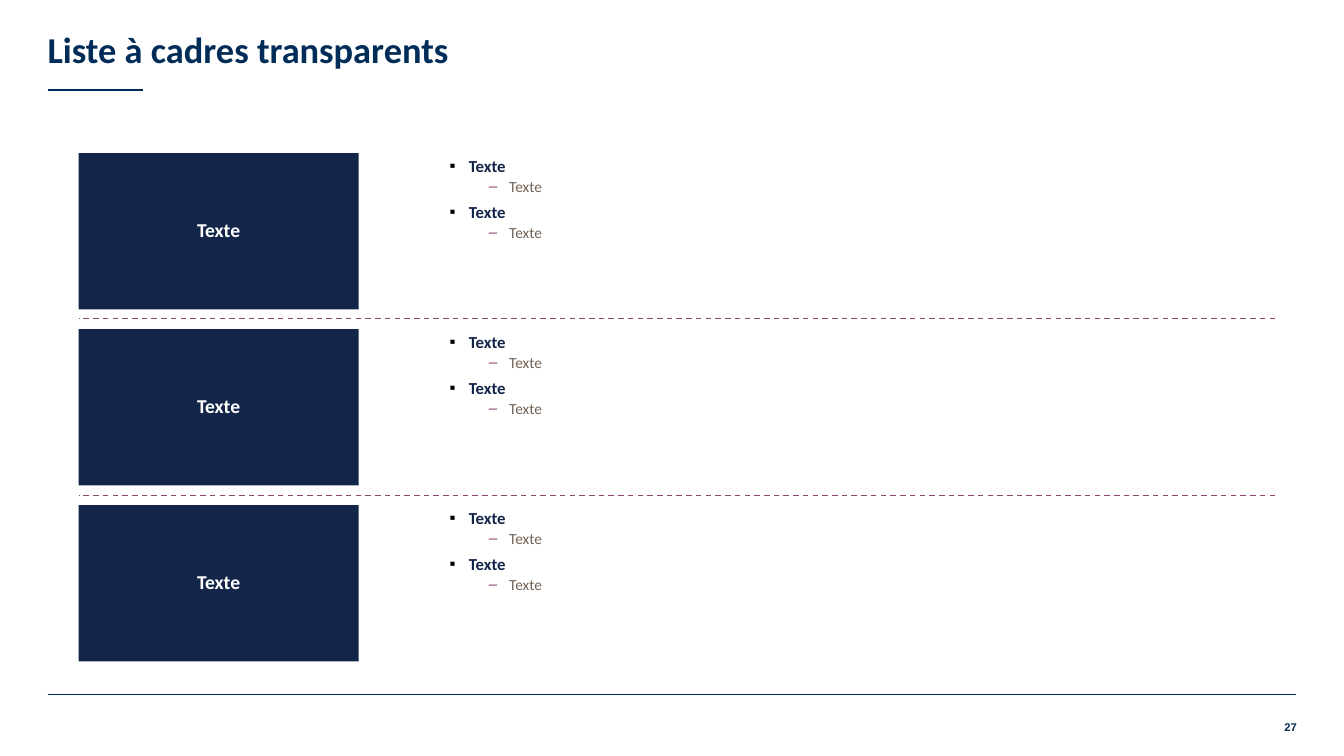
from pptx import Presentation
from pptx.dml.color import RGBColor
from pptx.enum.dml import MSO_LINE
from pptx.enum.shapes import MSO_CONNECTOR, MSO_SHAPE
from pptx.enum.text import MSO_ANCHOR, MSO_AUTO_SIZE, PP_ALIGN
from pptx.oxml.ns import qn
from pptx.util import Pt
from lxml import etree

RECTANGLE = MSO_SHAPE.RECTANGLE
STRAIGHT = MSO_CONNECTOR.STRAIGHT
DASH = MSO_LINE.DASH
TOP, MIDDLE, BOTTOM = MSO_ANCHOR.TOP, MSO_ANCHOR.MIDDLE, MSO_ANCHOR.BOTTOM
LEFT, CENTER, RIGHT = PP_ALIGN.LEFT, PP_ALIGN.CENTER, PP_ALIGN.RIGHT
NO_AUTOFIT = MSO_AUTO_SIZE.NONE

COLORS = {
    "title": "002C58",
    "navy": "13264A",
    "plum": "8B4771",
    "taupe": "746457",
    "black": "000000",
    "white": "FFFFFF",
}

# Page frame and list grid, in points
MARGIN_LEFT, MARGIN_RIGHT = 34, 926
LIST_LEFT, LIST_RIGHT = 56.2, 910.8
ROW_TOP, ROW_HEIGHT, ROW_PITCH = 109.4, 111.6, 125.7
DIVIDER_TOP, DIVIDER_PITCH = 227.4, 126.7
LABEL_WIDTH = 200
BULLETS_LEFT = 315.4

LEVELS = [
    {"size": 12, "color": "navy", "bold": True, "space_before": 6,
     "indent": (13.7, -13.7), "bullet": ("▪", "black")},
    {"size": 11, "color": "taupe", "space_before": 2,
     "indent": (42.5, -14.4), "bullet": ("–", "plum")},
]

ROWS = [("Texte", [("Texte", 0), ("Texte", 1)] * 2)] * 3


def rgb(name):
    return RGBColor.from_string(COLORS[name])


def set_frame(frame, insets, anchor=TOP):
    frame.word_wrap = True
    frame.auto_size = NO_AUTOFIT
    frame.vertical_anchor = anchor
    (frame.margin_left, frame.margin_top,
     frame.margin_right, frame.margin_bottom) = [Pt(inset) for inset in insets]


def add_bullet(para, char, color, left, hanging):
    properties = para._p.get_or_add_pPr()
    properties.set("marL", str(Pt(left)))
    properties.set("indent", str(Pt(hanging)))
    bullet_color = etree.SubElement(properties, qn("a:buClr"))
    etree.SubElement(bullet_color, qn("a:srgbClr"), val=COLORS[color])
    etree.SubElement(properties, qn("a:buFont"), typeface="Arial")
    etree.SubElement(properties, qn("a:buChar"), char=char)


def write(para, text, size, color, bold=False, font="Calibri", align=LEFT,
          line_spacing=0.9, space_before=0, indent=None, bullet=None):
    if bullet:
        add_bullet(para, *bullet, *indent)
    para.alignment = align
    para.line_spacing = line_spacing
    para.space_before = Pt(space_before)
    span = para.add_run()
    span.text = text
    span.font.name = font
    span.font.size = Pt(size)
    span.font.bold = bold
    span.font.color.rgb = rgb(color)


def add_rule(page, left, right, top, color, width, dash=None):
    rule = page.shapes.add_connector(STRAIGHT, Pt(left), Pt(top), Pt(right), Pt(top))
    rule.line.color.rgb = rgb(color)
    rule.line.width = Pt(width)
    if dash:
        rule.line.dash_style = dash
    etree.SubElement(rule._element.spPr, qn("a:effectLst"))


def add_title(page, text):
    title = page.shapes.title
    title.left, title.top, title.width, title.height = Pt(MARGIN_LEFT), Pt(0), Pt(892), Pt(52.6)
    set_frame(title.text_frame, (0, 3.6, 1.4, 1.4), BOTTOM)
    write(title.text_frame.paragraphs[0], text, size=26, color="title", bold=True)


def add_label(page, top, text):
    label = page.shapes.add_shape(RECTANGLE, Pt(LIST_LEFT), Pt(top),
                                  Pt(LABEL_WIDTH), Pt(ROW_HEIGHT))
    label.shadow.inherit = False
    label.fill.solid()
    label.fill.fore_color.rgb = rgb("navy")
    label.line.fill.background()
    set_frame(label.text_frame, (7.2, 5.8, 7.2, 5.8), MIDDLE)
    write(label.text_frame.paragraphs[0], text, size=14, color="white",
          bold=True, align=CENTER)


def add_bullets(page, top, items):
    box = page.shapes.add_textbox(Pt(BULLETS_LEFT), Pt(top),
                                  Pt(LIST_RIGHT - BULLETS_LEFT), Pt(ROW_HEIGHT))
    frame = box.text_frame
    set_frame(frame, (5.8, 3.6, 2.9, 3.6))
    for index, (text, level) in enumerate(items):
        para = frame.add_paragraph() if index else frame.paragraphs[0]
        para.level = level
        style = dict(LEVELS[level])
        if index == 0:
            style["space_before"] = 0
        write(para, text, **style)


def add_page_number(page, text):
    box = page.shapes.add_textbox(Pt(898.4), Pt(514.8), Pt(28), Pt(14.4))
    set_frame(box.text_frame, (0, 0, 0, 0))
    write(box.text_frame.paragraphs[0], text, size=8, color="title", bold=True,
          font="Arial", align=RIGHT, line_spacing=1.0)


def main():
    deck = Presentation()
    deck.slide_width, deck.slide_height = Pt(960), Pt(540)
    page = deck.slides.add_slide(deck.slide_layouts[5])

    # Title and page rules
    add_rule(page, MARGIN_LEFT, MARGIN_RIGHT, 496, "title", 0.75)
    add_rule(page, MARGIN_LEFT, 102, 64.3, "title", 0.75)
    add_title(page, "Liste à cadres transparents")

    # List rows
    for index, (label, items) in enumerate(ROWS):
        top = ROW_TOP + index * ROW_PITCH
        add_label(page, top, label)
        add_bullets(page, top, items)

    # Dashed dividers between rows
    for index in range(len(ROWS) - 1):
        add_rule(page, LIST_RIGHT, LIST_LEFT, DIVIDER_TOP + index * DIVIDER_PITCH,
                 "plum", 1, DASH)

    add_page_number(page, "27")
    deck.save("out.pptx")


if __name__ == "__main__":
    main()
